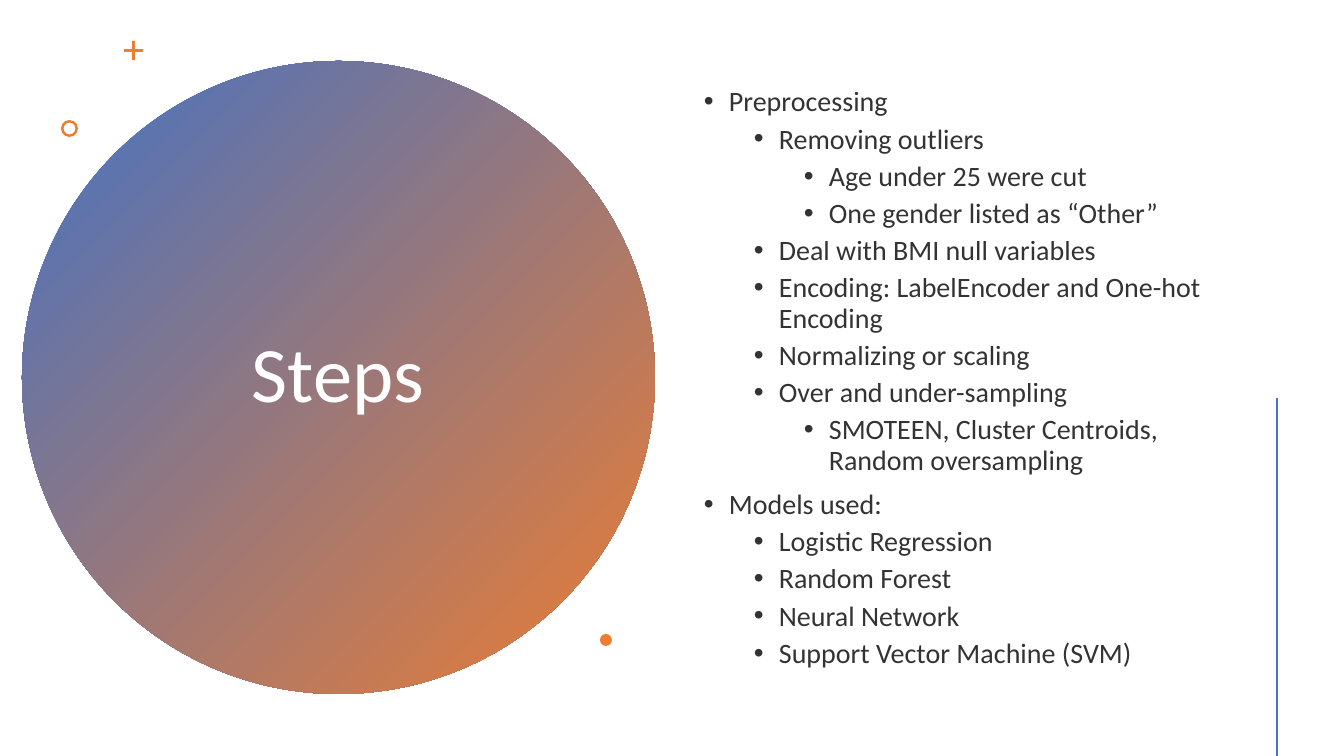
from dataclasses import dataclass

from lxml.etree import SubElement
from pptx import Presentation
from pptx.dml.color import RGBColor
from pptx.enum.shapes import MSO_CONNECTOR, MSO_SHAPE
from pptx.enum.text import MSO_ANCHOR, PP_ALIGN
from pptx.oxml.ns import qn
from pptx.util import Emu, Pt

TITLE = "Steps"
STEPS = [
    (0, "Preprocessing"),
    (1, "Removing outliers"),
    (2, "Age under 25 were cut"),
    (2, "One gender listed as “Other”"),
    (1, "Deal with BMI null variables"),
    (1, "Encoding: LabelEncoder and One-hot Encoding"),
    (1, "Normalizing or scaling"),
    (1, "Over and under-sampling"),
    (2, "SMOTEEN, Cluster Centroids, Random oversampling"),
    (0, "Models used:"),
    (1, "Logistic Regression"),
    (1, "Random Forest"),
    (1, "Neural Network"),
    (1, "Support Vector Machine (SVM)"),
]

# Lengths in px: left, top, width, height
PAGE_SIZE = (1344, 756)
DISC = (22, 61, 633, 633)
TITLE_BOX = (137, 142, 402, 471)
STEPS_BOX = (694, 57, 527, 643)
ORNAMENTS = [  # shape, place, thickness adjustment
    (MSO_SHAPE.CROSS, (124, 41, 19, 19), 0.43),
    (MSO_SHAPE.DONUT, (61, 120, 17, 17), 0.15),
    (MSO_SHAPE.OVAL, (600, 634, 12, 12), None),
]
RULE = (1277, 398, 1277, 756)  # from x, y to x, y
HANG, LEVEL_INDENT = 25, 50


@dataclass(frozen=True)
class Theme:
    font: str = "Calibri"
    blue: RGBColor = RGBColor(0x44, 0x72, 0xC4)
    orange: RGBColor = RGBColor(0xED, 0x7D, 0x31)
    white: RGBColor = RGBColor(0xFF, 0xFF, 0xFF)
    black: RGBColor = RGBColor(0, 0, 0)
    body_opacity: int = 80
    title_size: int = 56
    body_size: int = 20
    line_spacing: float = 0.9


THEME = Theme()


def px(*lengths):
    return [Emu(round(length * 914400 / 100.8)) for length in lengths]


def add_filled_shape(page, kind, place):
    shape = page.shapes.add_shape(kind, *px(*place))
    shape.shadow.inherit = False
    shape.line.fill.background()
    return shape


def add_text_box(page, place):
    frame = page.shapes.add_textbox(*px(*place)).text_frame
    frame.word_wrap = True
    frame.vertical_anchor = MSO_ANCHOR.MIDDLE
    return frame


def style_text(para, size, color):
    para.line_spacing = THEME.line_spacing
    for span in para.runs:
        span.font.name = THEME.font
        span.font.size = Pt(size)
        span.font.color.rgb = color


def add_bullet(para, level):
    para.level = level
    hang, left = px(HANG, HANG + level * LEVEL_INDENT)
    properties = para._p.get_or_add_pPr()
    properties.set("marL", str(left))
    properties.set("indent", str(-hang))
    SubElement(properties, qn("a:buFont"), typeface="Arial")
    SubElement(properties, qn("a:buChar"), char="•")


def set_opacity(span, percent):
    color = span._r.find(".//" + qn("a:srgbClr"))
    SubElement(color, qn("a:alpha"), val=str(percent * 1000))


def add_disc(page):
    fill = add_filled_shape(page, MSO_SHAPE.OVAL, DISC).fill
    fill.gradient()
    fill.gradient_angle = 315
    for stop, color in zip(fill.gradient_stops, (THEME.blue, THEME.orange)):
        stop.color.rgb = color


def add_title(page):
    para = add_text_box(page, TITLE_BOX).paragraphs[0]
    para.text = TITLE
    para.alignment = PP_ALIGN.CENTER
    style_text(para, THEME.title_size, THEME.white)


def add_steps(page):
    frame = add_text_box(page, STEPS_BOX)
    for index, (level, text) in enumerate(STEPS):
        para = frame.add_paragraph() if index else frame.paragraphs[0]
        para.text = text
        add_bullet(para, level)
        if index:
            para.space_before = Pt(5 if level else 10)
        style_text(para, THEME.body_size, THEME.black)
        set_opacity(para.runs[0], THEME.body_opacity)


def add_ornaments(page):
    for kind, place, thickness in ORNAMENTS:
        shape = add_filled_shape(page, kind, place)
        shape.fill.solid()
        shape.fill.fore_color.rgb = THEME.orange
        if thickness is not None:
            shape.adjustments[0] = thickness


def add_rule(page):
    rule = page.shapes.add_connector(MSO_CONNECTOR.STRAIGHT, *px(*RULE))
    rule.line.color.rgb = THEME.blue
    rule.line.width = Pt(2)
    SubElement(rule._element.spPr, qn("a:effectLst"))


def main():
    deck = Presentation()
    deck.slide_width, deck.slide_height = px(*PAGE_SIZE)
    page = deck.slides.add_slide(deck.slide_layouts[6])
    add_disc(page)
    add_title(page)
    add_steps(page)
    add_ornaments(page)
    add_rule(page)
    deck.save("out.pptx")


if __name__ == "__main__":
    main()
